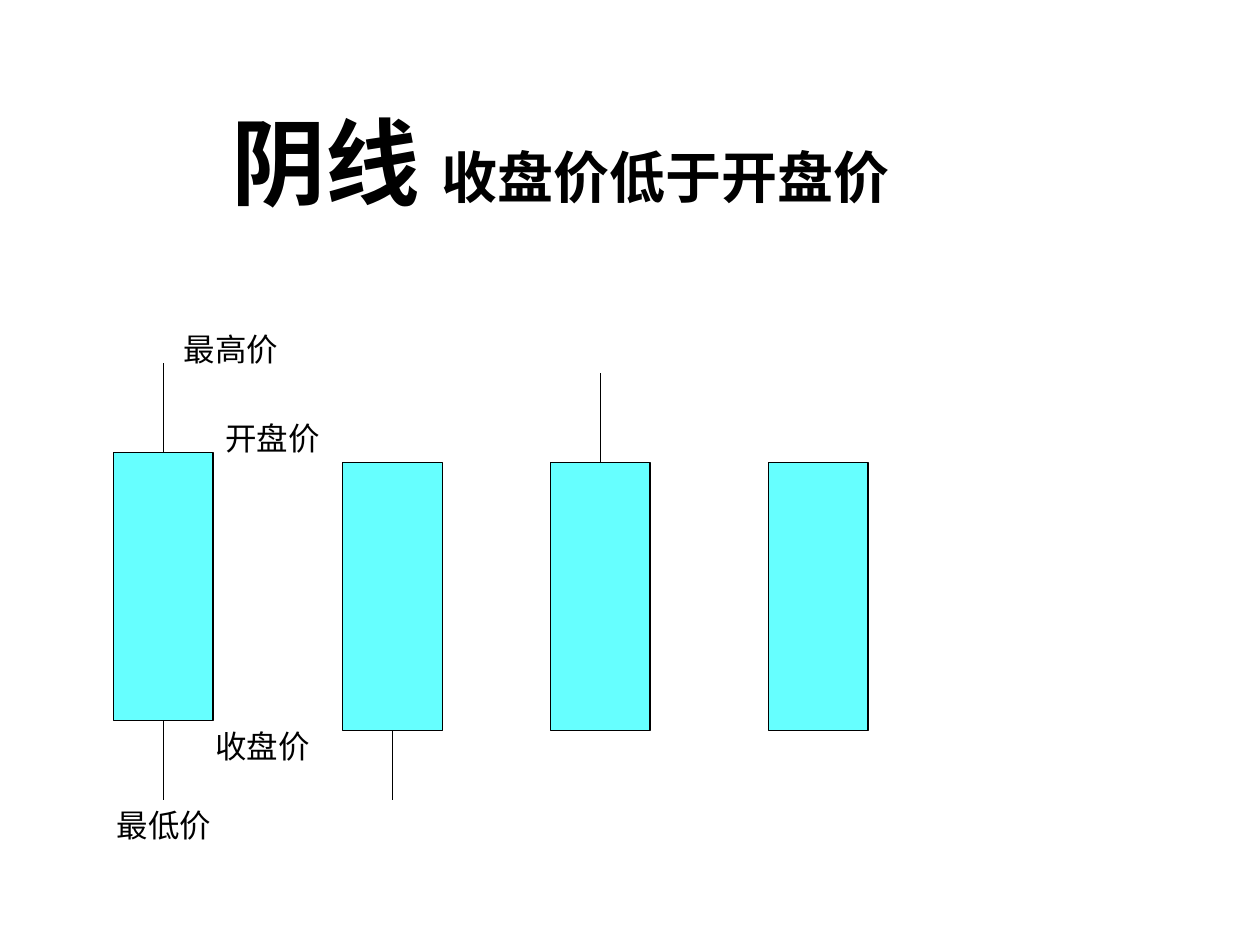
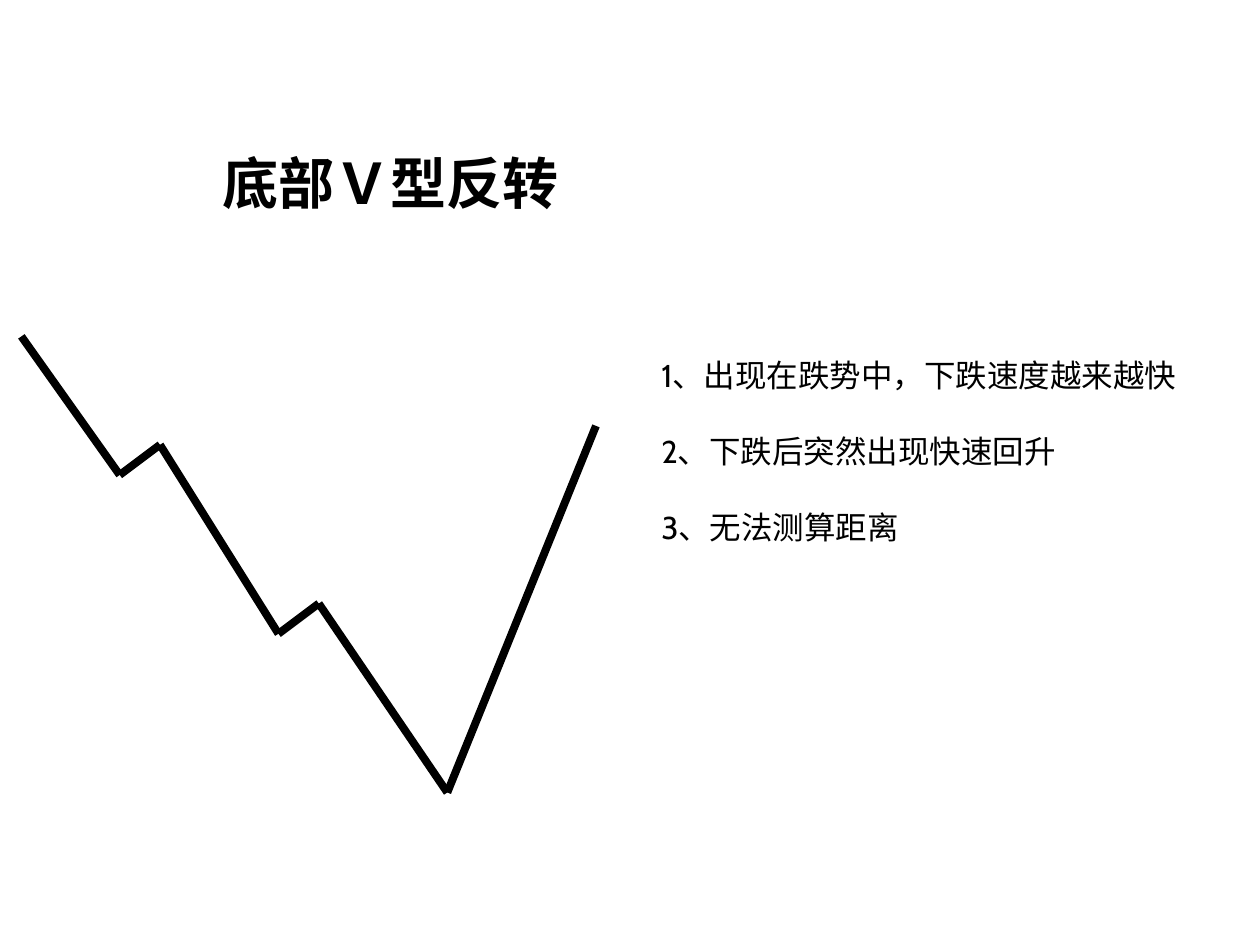
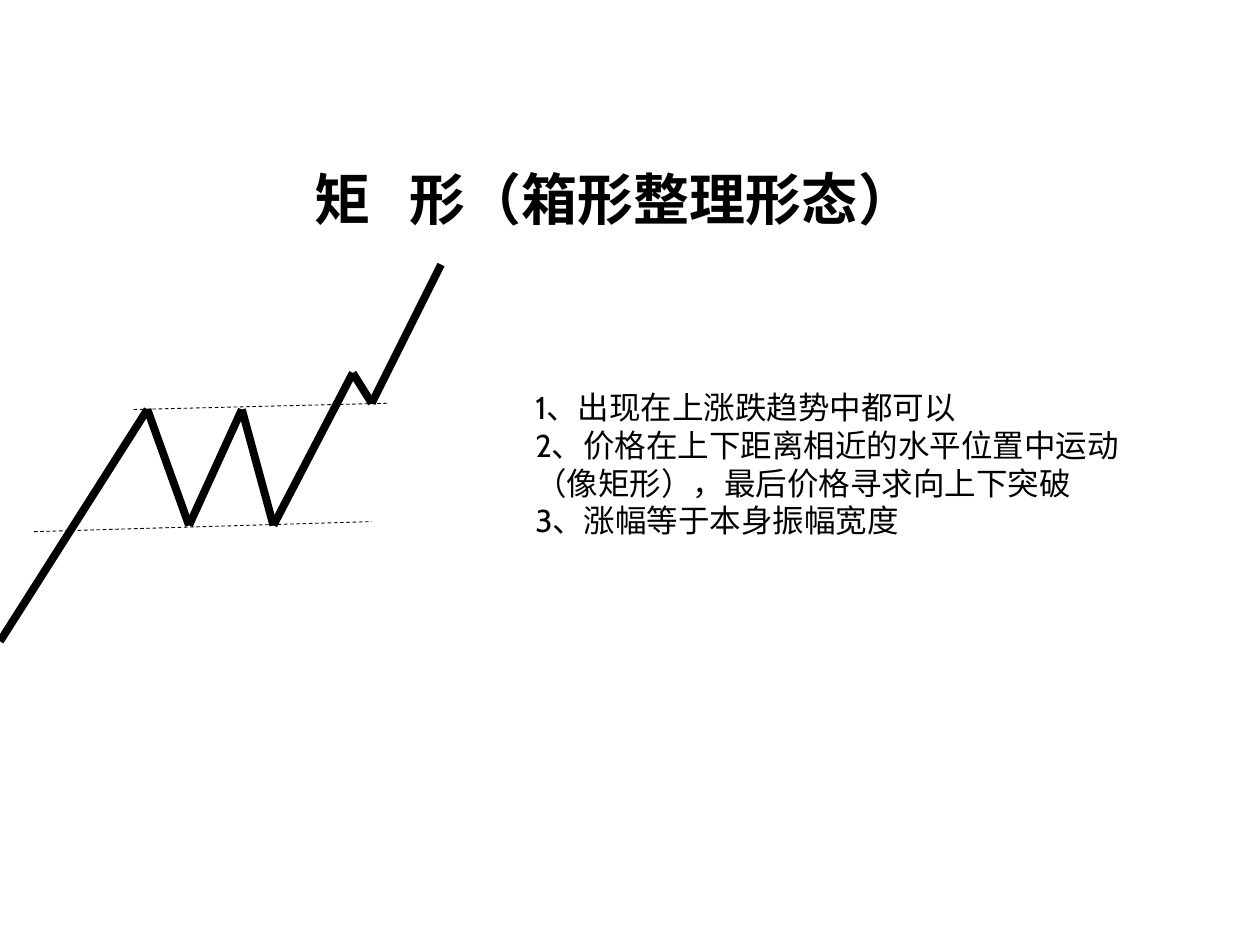
from dataclasses import dataclass
from itertools import pairwise

from lxml import etree
from pptx import Presentation
from pptx.dml.color import RGBColor
from pptx.enum import dml, shapes, text
from pptx.oxml.ns import qn
from pptx.util import Pt

PX = 9144  # 100 px to the inch


def px(length):
    return round(length * PX)


@dataclass(frozen=True)
class Theme:
    ink: RGBColor = RGBColor(0x00, 0x00, 0x00)
    paper: RGBColor = RGBColor(0xFF, 0xFF, 0xFF)
    candle: RGBColor = RGBColor(0x66, 0xFF, 0xFF)
    latin: str = "Cabin"
    chinese: str = "Noto Sans CJK SC"
    display: int = 54
    title: int = 32
    body: int = 18
    line_pitch: float = 21.6
    trend: float = 4.5
    outline: float = 0.75
    guide: float = 0.5


class Deck:
    def __init__(self, theme):
        self.theme = theme
        self.presentation = Presentation()
        self.presentation.slide_width = px(1000)
        self.presentation.slide_height = px(750)
        self.slide = None

    def new_slide(self):
        self.slide = self.presentation.slides.add_slide(self.presentation.slide_layouts[6])
        fill = self.slide.background.fill
        fill.solid()
        fill.fore_color.rgb = self.theme.paper

    def style_run(self, run, size, bold=False, latin=None):
        run.font.size = Pt(size)
        run.font.bold = bold
        run.font.name = latin or self.theme.latin
        run.font.color.rgb = self.theme.ink
        properties = run.font._element
        east_asian = etree.Element(qn("a:ea"), typeface=self.theme.chinese)
        properties.find(qn("a:latin")).addnext(east_asian)

    def text_box(self, left, top, width, height, paragraphs, size=None,
                 bold=False, wrap=False, gap=0):
        box = self.slide.shapes.add_textbox(px(left), px(top), px(width), px(height))
        frame = box.text_frame
        frame.text = "\n".join(paragraphs)
        frame.word_wrap = wrap
        frame.auto_size = text.MSO_AUTO_SIZE.SHAPE_TO_FIT_TEXT
        for index, paragraph in enumerate(frame.paragraphs):
            if index and gap:
                paragraph.space_before = Pt(gap)
            for run in paragraph.runs:
                self.style_run(run, size or self.theme.body, bold)
        return box

    def title(self, left, top, width, parts, spread=0):
        """Title in one or more runs; spread widens runs that hold only a space."""
        box = self.text_box(left, top, width, 63, [""])
        paragraph = box.text_frame.paragraphs[0]
        for part in parts:
            run = paragraph.add_run()
            run.text = part
            self.style_run(run, self.theme.title, bold=True)
            if part == " ":
                run.font._element.set("spc", str(spread * 100))

    def headline(self, left, top, width, height, parts):
        """Centred title whose runs differ in size."""
        box = self.slide.shapes.add_textbox(px(left), px(top), px(width), px(height))
        frame = box.text_frame
        frame.word_wrap = True
        frame.vertical_anchor = text.MSO_ANCHOR.MIDDLE
        paragraph = frame.paragraphs[0]
        paragraph.alignment = text.PP_ALIGN.CENTER
        for words, size in parts:
            run = paragraph.add_run()
            run.text = words
            self.style_run(run, size, bold=True, latin=self.theme.chinese)

    def line(self, start, end, weight, dashed=False):
        connector = self.slide.shapes.add_connector(
            shapes.MSO_CONNECTOR.STRAIGHT, *map(px, start + end))
        connector.line.color.rgb = self.theme.ink
        connector.line.width = Pt(weight)
        if dashed:
            connector.line.dash_style = dml.MSO_LINE.DASH
        etree.SubElement(connector._element.spPr, qn("a:effectLst"))
        return connector

    def trend(self, points):
        for start, end in pairwise(points):
            self.line(start, end, self.theme.trend)

    def candle(self, left, top, high=None, low=None, width=79, height=213):
        """Candle body with optional wicks up to high and down to low."""
        body = self.slide.shapes.add_shape(
            shapes.MSO_SHAPE.RECTANGLE, px(left), px(top), px(width), px(height))
        body.shadow.inherit = False
        body.fill.solid()
        body.fill.fore_color.rgb = self.theme.candle
        body.line.color.rgb = self.theme.ink
        body.line.width = Pt(self.theme.outline)
        middle = left + width / 2
        for tip, edge, site in ((high, top, 0), (low, top + height, 2)):
            if tip is not None:
                wick = self.line((middle, edge), (middle, tip), self.theme.outline)
                wick.begin_connect(body, site)


def bearish_candles(deck):
    theme = deck.theme
    deck.new_slide()
    deck.headline(122, 52, 646, 151,
                  [("阴线 ", theme.display), ("收盘价低于开盘价", theme.title)])

    # Four forms of the candle
    deck.candle(90, 359, high=288, low=635)
    deck.candle(272, 367, low=635)
    deck.candle(437, 367, high=296)
    deck.candle(610, 367)

    # Price labels
    for label, left, top in (("最高价", 136, 257), ("最低价", 83, 635),
                             ("开盘价", 169, 328), ("收盘价", 161, 572)):
        deck.text_box(left, top, 95, 40, [label])


def v_reversal(deck):
    deck.new_slide()
    deck.trend([(17, 267), (95, 377), (127, 353), (221, 503),
                (253, 479), (355, 629), (473, 338)])
    deck.title(167, 113, 288, ["底部Ｖ型反转"])
    deck.text_box(515, 278, 434, 160, [
        "1、出现在跌势中，下跌速度越来越快",
        "2、下跌后突然出现快速回升",
        "3、无法测算距离",
    ], wrap=True, gap=deck.theme.line_pitch)


def box_pattern(deck):
    deck.new_slide()
    deck.title(240, 126, 505, ["矩", " ", "形（箱形整理形态）"], spread=15)

    # Upper and lower bounds of the box
    for start, end in (((106, 325), (309, 320)), ((27, 422), (295, 414))):
        deck.line(start, end, deck.theme.guide, dashed=True)

    deck.trend([(0, 509), (117, 325), (150, 417), (192, 325),
                (217, 417), (280, 296), (295, 320), (350, 210)])
    deck.text_box(415, 303, 484, 130, [
        "1、出现在上涨跌趋势中都可以",
        "2、价格在上下距离相近的水平位置中运动",
        "（像矩形），最后价格寻求向上下突破",
        "3、涨幅等于本身振幅宽度",
    ], wrap=True)


def main():
    deck = Deck(Theme())
    bearish_candles(deck)
    v_reversal(deck)
    box_pattern(deck)
    deck.presentation.save("out.pptx")


if __name__ == "__main__":
    main()
